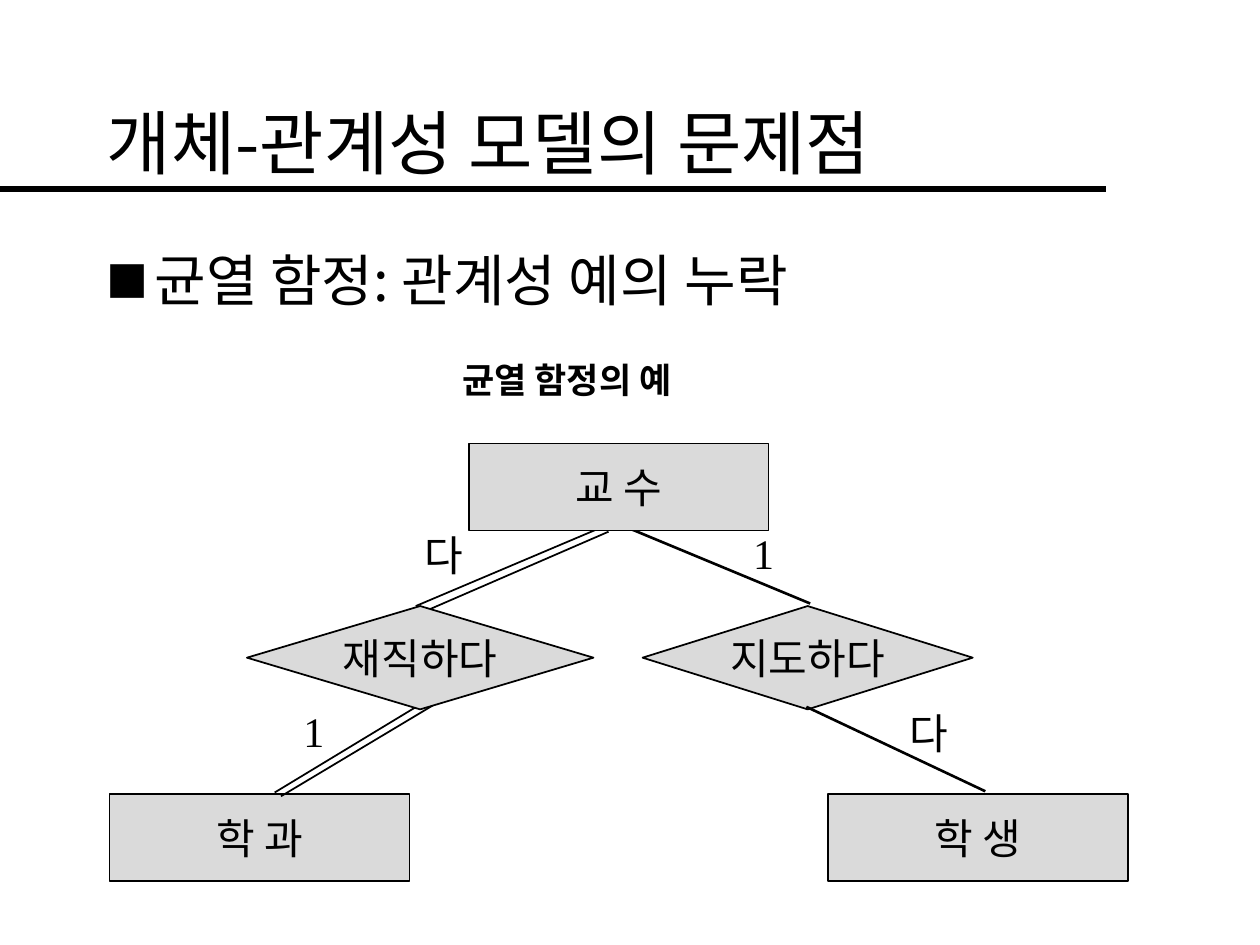
from lxml import etree
from pptx import Presentation
from pptx.dml.color import RGBColor
from pptx.enum import shapes, text
from pptx.oxml.ns import qn
from pptx.util import Inches, Pt

BLACK = RGBColor(0, 0, 0)
GRAY = RGBColor(0xDA, 0xDA, 0xDA)
SANS, SERIF = "Noto Sans CJK KR", "Times New Roman"

# Content: positions in inches
TITLE = "개체-관계성 모델의 문제점"
BULLET = "균열 함정: 관계성 예의 누락"
CAPTION = "균열 함정의 예"
ENTITY_SIZE = (2.38, 0.69)
DIAMOND_TOP, DIAMOND_HEIGHT = 4.81, 0.82
LOWER_ENTITIES = [("학 과", 0.87, 6.3), ("학 생", 6.57, 6.3)]
TOP_ENTITY = ("교 수", 3.72, 3.52)
LEFT_RELATION = ("재직하다", 1.96, 2.75)
RIGHT_RELATION = ("지도하다", 5.1, 2.62)
CARDINALITIES = [  # text, left, top, width
    ("다", 3.27, 4.11, 0.5),
    ("1", 5.88, 4.1, 0.36),
    ("1", 2.31, 5.51, 0.36),
    ("다", 7.12, 5.53, 0.5),
]
SINGLE_LINES = [(5.01, 4.2, 6.43, 4.79), (6.4, 5.61, 7.82, 6.28)]
DOUBLE_LINES = [(4.74, 4.2, 3.3, 4.81), (4.83, 4.22, 3.4, 4.84),
                (3.32, 5.6, 2.18, 6.29), (3.45, 5.59, 2.23, 6.32)]

prs = Presentation()
prs.slide_width, prs.slide_height = Inches(10), Inches(7.5)
s = prs.slides.add_slide(prs.slide_layouts[6])


def write(sp, content, size, font=SERIF, bold=False, **frame):
    tf = sp.text_frame
    for name, value in frame.items():
        setattr(tf, name, value)
    p = tf.paragraphs[0]
    r = p.add_run()
    r.text = content
    for name, value in {"size": Pt(size), "name": font, "bold": bold}.items():
        setattr(r.font, name, value)
    r.font.color.rgb = BLACK
    etree.SubElement(r.font._element, qn("a:ea"), typeface=SANS)
    return p


def add_text(box, content, size, **fmt):
    sp = s.shapes.add_textbox(*map(Inches, box))
    return write(sp, content, size, **{"word_wrap": True, **fmt})


def indent(p, left, first=0):
    pPr = p._p.get_or_add_pPr()
    pPr.set("marL", str(Inches(left)))
    pPr.set("indent", str(Inches(first)))
    return pPr


def add_node(kind, content, *box):
    sp = s.shapes.add_shape(kind, *map(Inches, box))
    sp.shadow.inherit = False
    sp.fill.solid()
    sp.fill.fore_color.rgb = GRAY
    sp.line.color.rgb = BLACK
    sp.line.width = Pt(1)
    p = write(sp, content, 24, word_wrap=False,
              vertical_anchor=text.MSO_ANCHOR.MIDDLE)
    p.alignment = text.PP_ALIGN.CENTER


def add_entity(content, left, top):
    add_node(shapes.MSO_SHAPE.RECTANGLE, content, left, top, *ENTITY_SIZE)


def add_relation(content, left, width):
    add_node(shapes.MSO_SHAPE.DIAMOND, content,
             left, DIAMOND_TOP, width, DIAMOND_HEIGHT)


def add_line(ends, width):
    c = s.shapes.add_connector(shapes.MSO_CONNECTOR.STRAIGHT, *map(Inches, ends))
    c.line.color.rgb = BLACK
    c.line.width = Pt(width)
    etree.SubElement(c._element.spPr, qn("a:effectLst"))


# Title and rule
add_line((0, 1.5, 8.78, 1.5), 4)
add_text((0.75, 0.5, 8.5, 1.25), TITLE, 40, font=SANS,
         vertical_anchor=text.MSO_ANCHOR.MIDDLE)

# Bullet
pPr = indent(add_text((0.75, 1.9, 8.5, 4.5), BULLET, 32, font=SANS), 0.38, -0.38)
etree.SubElement(pPr, qn("a:buSzPct"), val="75000")
etree.SubElement(pPr, qn("a:buFont"), typeface=SANS)
etree.SubElement(pPr, qn("a:buChar"), char="■")

# Diagram caption
indent(add_text((1.06, 2.8, 8.54, 0.44), CAPTION, 20, bold=True), 2.51)

# Diagram, back to front
add_relation(*RIGHT_RELATION)
for entity in LOWER_ENTITIES:
    add_entity(*entity)
for content, left, top, width in CARDINALITIES:
    p = add_text((left, top, width, 0.54), content, 24, word_wrap=False,
                 auto_size=text.MSO_AUTO_SIZE.SHAPE_TO_FIT_TEXT)
    p.line_spacing = 1.1
for lines, width in ((SINGLE_LINES, 1.5), (DOUBLE_LINES, 1)):
    for ends in lines:
        add_line(ends, width)
add_entity(*TOP_ENTITY)
add_relation(*LEFT_RELATION)

prs.save("out.pptx")
